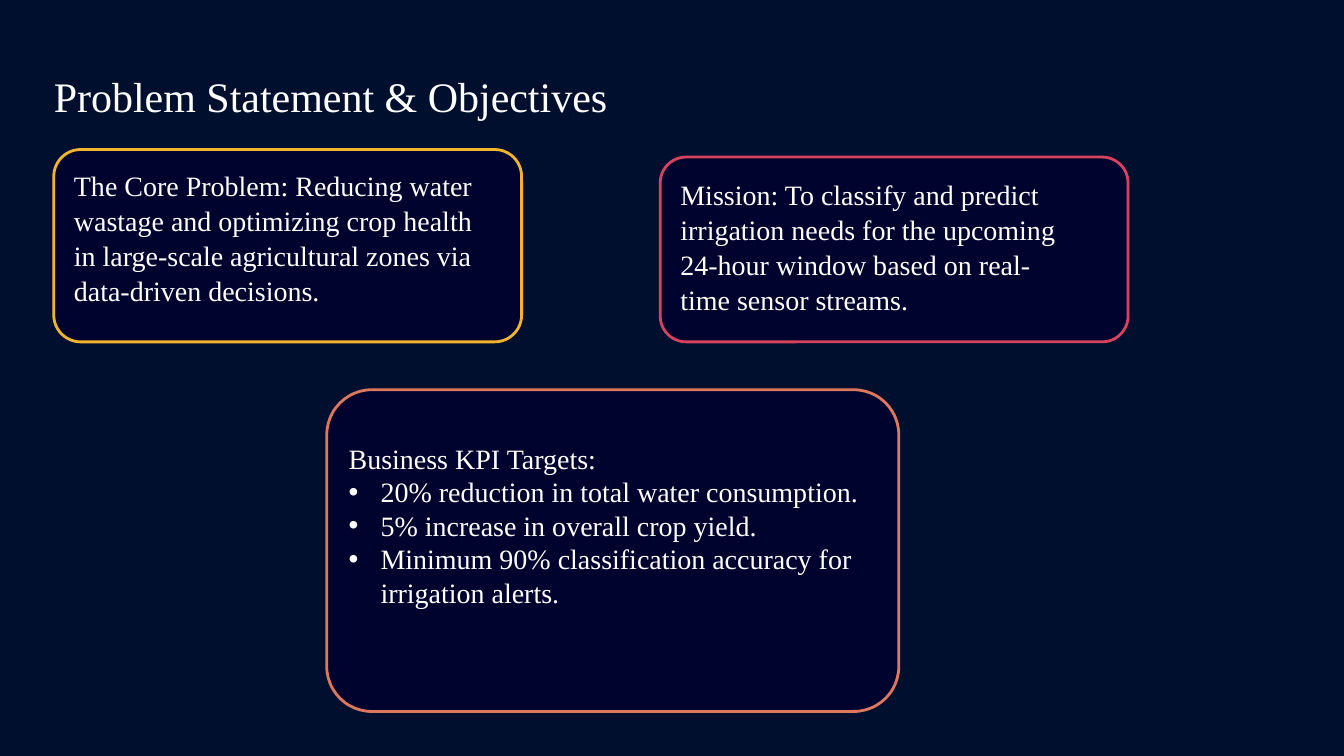
"""Build the problem statement and objectives slide."""
import pptx
import pptx.dml.color
import pptx.enum.shapes
import pptx.enum.text
import pptx.oxml
import pptx.oxml.ns
import pptx.util

RGB = pptx.dml.color.RGBColor
NAVY = RGB(0x00, 0x0F, 0x2E)
PANEL = RGB(0x00, 0x00, 0x2E)
WHITE = RGB(0xFF, 0xFF, 0xFF)
AMBER = RGB(0xF2, 0xB4, 0x2D)
ROSE = RGB(0xD7, 0x42, 0x5E)
CORAL = RGB(0xDD, 0x78, 0x5E)

COLUMNS, ROWS = 16, 9
FONT = "Times New Roman"
TITLE = "Problem Statement & Objectives"
TITLE_AREA = (0.64, 0.67, 9.06, 0.77)
CARDS = [
    ("The Core Problem: Reducing water wastage and optimizing crop health "
     "in large-scale agricultural zones via data-driven decisions.",
     AMBER, (0.64, 1.78, 5.57, 2.29), (0.88, 1.99, 5.08, 1.65)),
    ("Mission: To classify and predict irrigation needs for the upcoming "
     "24-hour window based on real-time sensor streams.",
     ROSE, (7.86, 1.87, 5.57, 2.2), (8.1, 2.1, 4.6, 1.74)),
]
KPI_PANEL = (3.89, 4.64, 6.81, 3.83)
KPI_AREA = (4.15, 5.25, 6.3, 2.4)
KPI_HEADING = "Business KPI Targets:"
KPI_TARGETS = [
    "20% reduction in total water consumption.",
    "5% increase in overall crop yield.",
    "Minimum 90% classification accuracy for irrigation alerts.",
]
KPI_INDENT = 0.38

prs = pptx.Presentation()
prs.slide_width = pptx.util.Inches(COLUMNS)
prs.slide_height = pptx.util.Inches(ROWS)


def to_emu(area):
    """Turn grid columns and rows into slide lengths."""
    units = (prs.slide_width / COLUMNS, prs.slide_height / ROWS) * 2
    return [round(share * unit) for share, unit in zip(area, units)]


def add_panel(slide, area, color):
    """Add a translucent rounded panel with a coloured outline."""
    sp = slide.shapes.add_shape(
        pptx.enum.shapes.MSO_SHAPE.ROUNDED_RECTANGLE, *to_emu(area))
    sp.adjustments[0] = 0.14
    sp.shadow.inherit = False
    sp.fill.solid()
    sp.fill.fore_color.rgb = PANEL
    fill = sp.fill._xPr.find(pptx.oxml.ns.qn("a:solidFill"))
    alpha = fill[0].makeelement(pptx.oxml.ns.qn("a:alpha"), {"val": "75000"})
    fill[0].append(alpha)
    sp.line.color.rgb = color
    sp.line.width = pptx.util.Pt(2.4)


def write(sp, area, lines, size, spacing=1.0, wrap=True):
    """Place a text shape and fill it with formatted paragraphs."""
    sp.left, sp.top, sp.width, sp.height = to_emu(area)
    tf = sp.text_frame
    tf.text = "\n".join(lines)
    tf.word_wrap = wrap
    tf.auto_size = pptx.enum.text.MSO_AUTO_SIZE.NONE
    tf.vertical_anchor = pptx.enum.text.MSO_ANCHOR.TOP
    tf.margin_left = tf.margin_top = tf.margin_right = tf.margin_bottom = 0
    for p in tf.paragraphs:
        p.alignment = pptx.enum.text.PP_ALIGN.LEFT
        p.line_spacing = spacing
        p.space_before = pptx.util.Pt(0)
        for r in p.runs:
            r.font.name = FONT
            r.font.size = pptx.util.Pt(size)
            r.font.color.rgb = WHITE


def set_bullet(p, char=None):
    """Give a paragraph a hanging bullet, or none."""
    indent = pptx.util.Inches(KPI_INDENT) if char else 0
    pPr = p._p.get_or_add_pPr()
    pPr.set("marL", str(indent))
    pPr.set("indent", str(-indent))
    if char:
        font = pptx.oxml.ns.qn("a:buFont")
        pPr.append(pPr.makeelement(font, {"typeface": "Arial"}))
        bullet = pptx.oxml.ns.qn("a:buChar")
        pPr.append(pPr.makeelement(bullet, {"char": char}))
    else:
        pPr.append(pPr.makeelement(pptx.oxml.ns.qn("a:buNone"), {}))


def main():
    """Build the slide and save it."""
    slide = prs.slides.add_slide(prs.slide_layouts[1])
    slide.background.fill.solid()
    slide.background.fill.fore_color.rgb = NAVY

    write(slide.shapes.title, TITLE_AREA, [TITLE], 36,
          pptx.util.Pt(55), wrap=False)

    for text, color, panel, area in CARDS:
        add_panel(slide, panel, color)
        box = slide.shapes.add_textbox(*to_emu(area))
        write(box, area, [text], 24, pptx.util.Pt(30))

    add_panel(slide, KPI_PANEL, CORAL)
    body = slide.placeholders[1]
    body.element.getparent().append(body.element)
    write(body, KPI_AREA, [KPI_HEADING, *KPI_TARGETS], 24)
    heading, *targets = body.text_frame.paragraphs
    set_bullet(heading)
    for p in targets:
        set_bullet(p, "•")

    prs.save("out.pptx")


if __name__ == "__main__":
    main()
